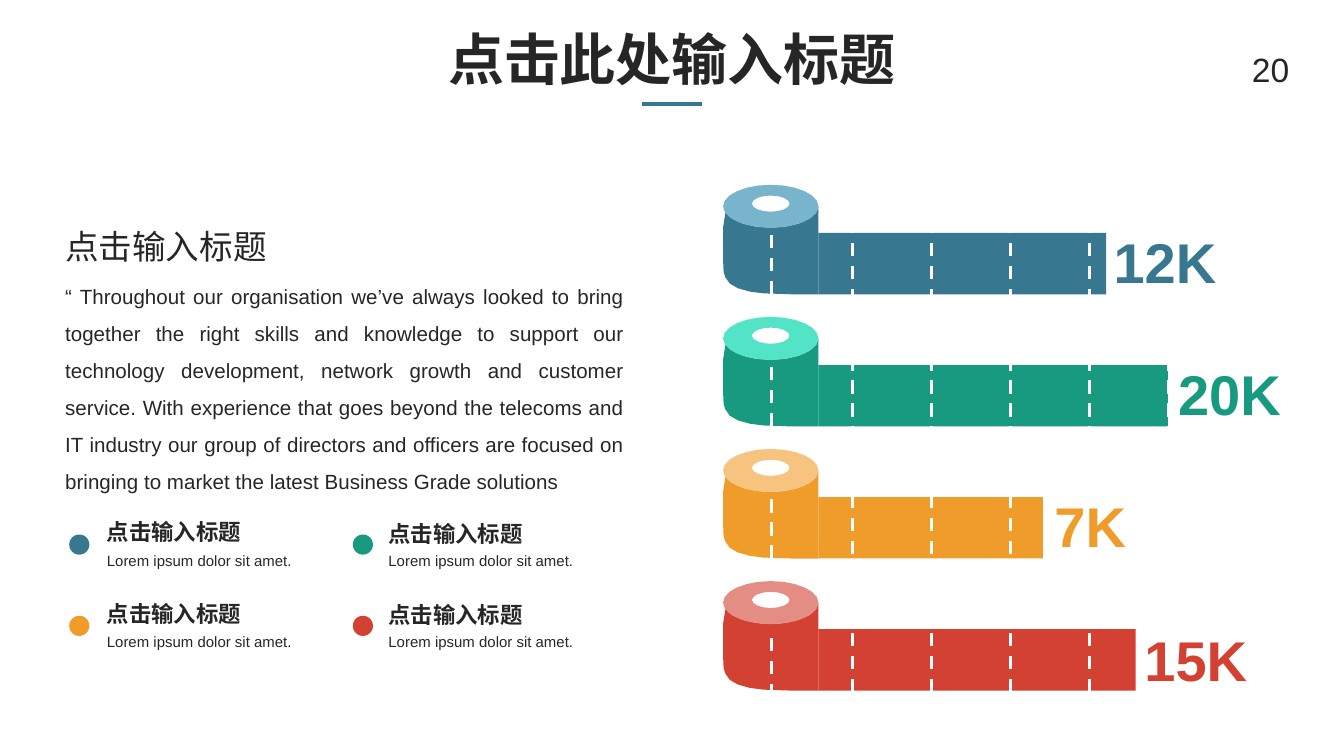
"""Build a slide that compares four values as unrolled paper tapes."""
from dataclasses import dataclass
from math import cos, pi, sin
from typing import NamedTuple

from lxml import etree
from pptx import Presentation
from pptx import util as u
from pptx.dml.color import RGBColor
from pptx.enum import dml, shapes, text
from pptx.oxml import ns

CELL = u.Inches(0.1)
COLUMNS, ROWS = 100, 56.25
ROLL_WIDTH, LID_HEIGHT, ROLL_HEIGHT = 7.1, 3.2, 8.15
ROLL_COLUMN, ROLL_ROW, ROLL_PITCH = 53.8, 13.75, 9.83
TAPE_COLUMN, TAPE_HEIGHT = ROLL_COLUMN + ROLL_WIDTH, 4.57
MARK_COLUMN, MARK_PITCH, MARK_COUNT = 63.43, 5.88, 5


@dataclass(frozen=True)
class Theme:
    """Colours, font and type sizes of the slide."""
    font: str = "Arial"
    ink: str = "262626"
    accent: str = "34758F"
    paper: str = "FFFFFF"
    display: float = 30
    heading: float = 18
    body: float = 11
    label: float = 12
    caption: float = 8


class Box(NamedTuple):
    """Area in grid columns and rows."""
    column: float
    row: float
    width: float
    height: float


class Point(NamedTuple):
    """Position in grid columns and rows."""
    column: float
    row: float


class Tape(NamedTuple):
    """One value, drawn as a roll with a strip."""
    value: str
    length: float
    value_at: Point
    mark_drop: float
    color: str
    lid_color: str


THEME = Theme()
TAPES = [
    Tape("12K", 21.4, Point(82.1, 16.55), 0, "377790", "78B4CB"),
    Tape("20K", 26, Point(86.9, 26.35), 0, "189A80", "53E4C7"),
    Tape("7K", 16.7, Point(77.7, 36.2), 0, "F09C2A", "F6C47F"),
    Tape("15K", 23.6, Point(84.4, 46.2), 0.5, "D24132", "E48D84"),
]
STATEMENT = (
    "“ Throughout our organisation we’ve always looked to bring together the right "
    "skills and knowledge to support our technology development, network growth and "
    "customer service. With experience that goes beyond the telecoms and IT industry "
    "our group of directors and officers are focused on bringing to market the latest "
    "Business Grade solutions"
)


def grid(cells: float) -> int:
    """Turn grid cells into a length."""
    return round(cells * CELL)


def place(shape, box: Box) -> None:
    """Move a shape to its area."""
    shape.left, shape.top, shape.width, shape.height = map(grid, box)


def paint(shape, color: str) -> None:
    """Give a shape a flat fill."""
    shape.shadow.inherit = False
    shape.fill.solid()
    shape.fill.fore_color.rgb = RGBColor.from_string(color)
    shape.line.fill.background()


def write(shape, words: str, size: float, color: str = THEME.ink, bold: bool = False,
          wrap: bool = True, align=text.PP_ALIGN.LEFT, spacing: float = 1.0) -> None:
    """Fill a shape with one formatted paragraph."""
    frame = shape.text_frame
    frame.text = words
    frame.word_wrap = wrap
    frame.auto_size = text.MSO_AUTO_SIZE.NONE
    frame.vertical_anchor = text.MSO_ANCHOR.TOP
    frame.margin_left = frame.margin_right = u.Pt(5.4)
    frame.margin_top = frame.margin_bottom = u.Pt(2.7)
    paragraph = frame.paragraphs[0]
    paragraph.alignment = align
    paragraph.line_spacing = spacing
    paragraph.space_before = u.Pt(0)
    font = paragraph.runs[0].font
    font.name, font.size, font.bold = THEME.font, u.Pt(size), bold
    font.color.rgb = RGBColor.from_string(color)


def add_text(slide, box: Box, words: str, size: float, **options) -> None:
    """Add a text box."""
    write(slide.shapes.add_textbox(*map(grid, box)), words, size, **options)


def add_preset(slide, kind, box: Box, color: str) -> None:
    """Add a flat preset shape."""
    paint(slide.shapes.add_shape(kind, *map(grid, box)), color)


def add_line(slide, start: Point, end: Point, color: str, width: float,
             dashed: bool = False) -> None:
    """Add a straight line."""
    line = slide.shapes.add_connector(shapes.MSO_CONNECTOR.STRAIGHT,
                                      *map(grid, (*start, *end)))
    line.line.color.rgb = RGBColor.from_string(color)
    line.line.width = u.Pt(width)
    if dashed:
        line.line.dash_style = dml.MSO_LINE.DASH
    etree.SubElement(line._element.spPr, ns.qn("a:effectLst"))


def add_outline(slide, contours: list[list[Point]], color: str) -> None:
    """Add a flat freeform made of closed contours."""
    paths = [[(grid(x), grid(y)) for x, y in contour] for contour in contours]
    builder = slide.shapes.build_freeform(*paths[0][0])
    for index, points in enumerate(paths):
        if index:
            builder.move_to(*points[0])
        builder.add_line_segments(points[1:], close=True)
    paint(builder.convert_to_shape(), color)


def arc(center: Point, width: float, height: float, steps: int,
        turn: float = 2 * pi) -> list[Point]:
    """Trace an ellipse clockwise from its right end."""
    return [Point(center.column + width / 2 * cos(turn * step / steps),
                  center.row + height / 2 * sin(turn * step / steps))
            for step in range(steps)]


def add_tape(slide, tape: Tape, row: float) -> None:
    """Draw the strip, roll and lid of one tape."""
    left, bottom = ROLL_COLUMN, row + ROLL_HEIGHT
    center = Point(left + ROLL_WIDTH / 2, row + LID_HEIGHT / 2)
    add_preset(slide, shapes.MSO_SHAPE.RECTANGLE,
               Box(TAPE_COLUMN, bottom - TAPE_HEIGHT, tape.length, TAPE_HEIGHT), tape.color)
    edge = [(0, 4.95), (0, 2.6), (0.04, 1.7), (0.15, 1.3), (0.5, 0.8), (1.1, 0.45),
            (2, 0.2), (3, 0.07), (5.1, 0), (ROLL_WIDTH, 0)]
    body = arc(center, ROLL_WIDTH, LID_HEIGHT, 10, pi)
    body += [Point(left + across, bottom - up) for across, up in edge]
    add_outline(slide, [body], tape.color)
    hole = arc(Point(center.column, center.row - 0.2), 2.8, 1.2, 16)
    add_outline(slide, [arc(center, ROLL_WIDTH, LID_HEIGHT, 24), hole[::-1]], tape.lid_color)
    mark_end = bottom + tape.mark_drop
    add_line(slide, Point(center.column + 0.03, mark_end),
             Point(center.column + 0.03, mark_end - 4.85), THEME.paper, 1.75, dashed=True)


def add_legend(slide, index: int, color: str) -> None:
    """Draw one legend entry in a grid of two columns."""
    row_index, column_index = divmod(index, 2)
    dot_column = 5.15 + 21.1 * column_index
    text_column = 7.2 + 20.95 * column_index
    row = 38.2 + 6.05 * row_index
    add_text(slide, Box(text_column, row + 0.1 * column_index, 11.6, 2.8), "点击输入标题",
             THEME.label, bold=True, wrap=False)
    add_text(slide, Box(text_column, row + 2.47, 15.5, 2.1), "Lorem ipsum dolor sit amet.",
             THEME.caption)
    add_preset(slide, shapes.MSO_SHAPE.OVAL, Box(dot_column, row + 1.57, 1.5, 1.5), color)


def main() -> None:
    """Build and save the slide."""
    presentation = Presentation()
    presentation.slide_width, presentation.slide_height = grid(COLUMNS), grid(ROWS)
    slide = presentation.slides.add_slide(presentation.slide_layouts[1])
    title, body = slide.placeholders
    place(title, Box(6.9, 1.45, 86.2, 7.1))
    write(title, "点击此处输入标题", THEME.display, bold=True, align=text.PP_ALIGN.CENTER)
    place(body, Box(4.1, 19.87, 43.1, 17.4))
    write(body, STATEMENT, THEME.body, align=text.PP_ALIGN.JUSTIFY, spacing=1.5)
    properties = body.text_frame.paragraphs[0]._p.get_or_add_pPr()
    properties.set("marL", "0")
    properties.set("indent", "0")
    etree.SubElement(properties, ns.qn("a:buNone"))
    add_line(slide, Point(47.8, 7.75), Point(52.2, 7.75), THEME.accent, 2)
    add_text(slide, Box(92.4, 3.25, 5.3, 3), "20", THEME.heading)
    add_text(slide, Box(4.1, 16.4, 28.8, 3.5), "点击输入标题", THEME.heading)
    for index, tape in enumerate(TAPES):
        add_tape(slide, tape, ROLL_ROW + ROLL_PITCH * index)
        add_legend(slide, index, tape.color)
    for index in range(MARK_COUNT):
        column = MARK_COLUMN + MARK_PITCH * index
        add_line(slide, Point(column, 51.5), Point(column, 17), THEME.paper, 1.75, dashed=True)
    for tape in TAPES:
        add_text(slide, Box(*tape.value_at, 9.2, 5.8), tape.value, THEME.display,
                 color=tape.color, bold=True, wrap=False)
    presentation.save("out.pptx")


if __name__ == "__main__":
    main()
